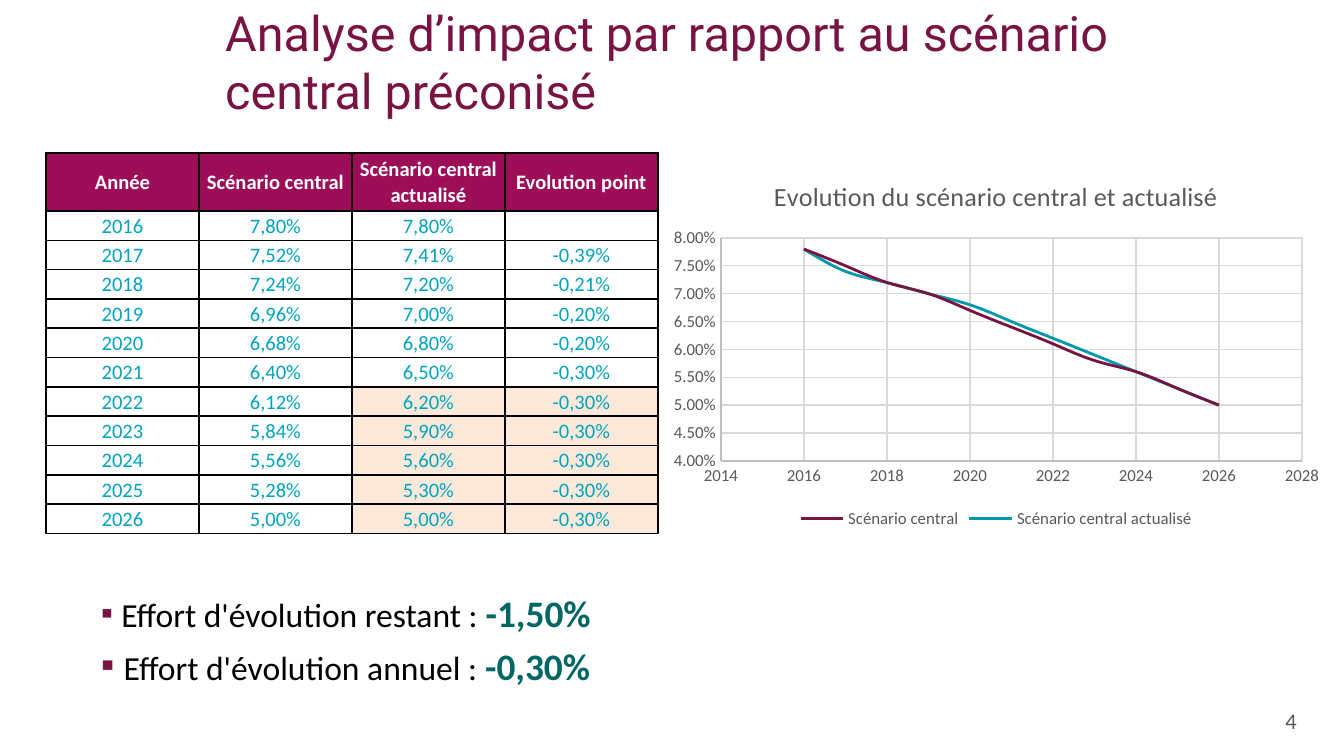
from lxml.etree import SubElement
from pptx import Presentation
from pptx.chart.data import XyChartData
from pptx.dml.color import RGBColor
from pptx.enum.chart import XL_CHART_TYPE, XL_LEGEND_POSITION, XL_TICK_MARK
from pptx.enum.text import MSO_ANCHOR, PP_ALIGN
from pptx.oxml.ns import qn
from pptx.util import Pt

SLIDE_WIDTH, SLIDE_HEIGHT = 1344, 756
EMU_PER_PX = 9144000 / SLIDE_WIDTH

COLORS = {
    "title": "791344", "header": "9E0D58", "white": "FFFFFF", "black": "000000",
    "figures": "00A4C2", "forecast": "FDE9D9", "effort": "006666",
    "page": "595A59", "chart_text": "595959", "axis": "BFBFBF", "grid": "D9D9D9",
    "central": "781344", "updated": "0098AD",
}

HEADERS = ["Année", "Scénario central", "Scénario central actualisé", "Evolution point"]
SCENARIOS = [
    ("2016", "7,80%", "7,80%", ""),
    ("2017", "7,52%", "7,41%", "-0,39%"),
    ("2018", "7,24%", "7,20%", "-0,21%"),
    ("2019", "6,96%", "7,00%", "-0,20%"),
    ("2020", "6,68%", "6,80%", "-0,20%"),
    ("2021", "6,40%", "6,50%", "-0,30%"),
    ("2022", "6,12%", "6,20%", "-0,30%"),
    ("2023", "5,84%", "5,90%", "-0,30%"),
    ("2024", "5,56%", "5,60%", "-0,30%"),
    ("2025", "5,28%", "5,30%", "-0,30%"),
    ("2026", "5,00%", "5,00%", "-0,30%"),
]
FIRST_FORECAST_YEAR = 2022
EFFORTS = [
    ("Effort d'évolution restant : ", "-1,50%", {"size": 18, "bold": False}),
    ("Effort d'évolution annuel : ", "-0,30%", {"size": 20, "bold": True}),
]


def px(length):
    return round(length * EMU_PER_PX)


def rgb(name):
    return RGBColor.from_string(COLORS[name])


def set_attributes(target, values):
    for name, value in values.items():
        setattr(target, name, value)


def set_font(font, size, color, name="Calibri", bold=False):
    set_attributes(font, {"size": Pt(size), "name": name, "bold": bold})
    font.color.rgb = rgb(color)


def add_run(paragraph, text, **font_values):
    run = paragraph.add_run()
    run.text = text
    set_font(run.font, **font_values)


def add_text_frame(slide, box, anchor=MSO_ANCHOR.TOP):
    frame = slide.shapes.add_textbox(*map(px, box)).text_frame
    set_attributes(frame, {"word_wrap": True, "vertical_anchor": anchor})
    return frame


def add_title(slide, box):
    frame = add_text_frame(slide, box, MSO_ANCHOR.MIDDLE)
    add_run(frame.paragraphs[0], "Analyse d’impact par rapport au scénario central préconisé",
            size=26, color="title", name="Roboto")


def add_page_number(slide, box):
    paragraph = add_text_frame(slide, box, MSO_ANCHOR.MIDDLE).paragraphs[0]
    paragraph.alignment = PP_ALIGN.RIGHT
    add_run(paragraph, "4", size=12, color="page")


def add_bullet(paragraph, indent):
    properties = paragraph._p.get_or_add_pPr()
    properties.set("marL", str(px(indent)))
    properties.set("indent", "0")
    color = SubElement(properties, qn("a:buClr"))
    SubElement(color, qn("a:srgbClr"), val=COLORS["title"])
    SubElement(properties, qn("a:buFont"), typeface="Calibri")
    SubElement(properties, qn("a:buChar"), char="▪")


def add_efforts(slide, box):
    frame = add_text_frame(slide, box)
    for index, (label, value, bullet_font) in enumerate(EFFORTS):
        paragraph = frame.add_paragraph() if index else frame.paragraphs[0]
        paragraph.space_before = Pt(4)
        add_bullet(paragraph, indent=42)
        add_run(paragraph, " ", color="title", name="Roboto", **bullet_font)
        add_run(paragraph, label, size=18, color="black")
        add_run(paragraph, value, size=20, color="effort", bold=True)


def add_borders(cell):
    properties = cell._tc.get_or_add_tcPr()
    for position, side in enumerate(("a:lnL", "a:lnR", "a:lnT", "a:lnB")):
        line = SubElement(properties, qn(side), w=str(Pt(1)))
        fill = SubElement(line, qn("a:solidFill"))
        SubElement(fill, qn("a:srgbClr"), val=COLORS["black"])
        properties.insert(position, line)


def fill_cell(cell, text, fill, color, bold):
    set_attributes(cell, {
        "margin_left": px(1), "margin_right": px(1), "margin_top": px(1),
        "margin_bottom": 0, "vertical_anchor": MSO_ANCHOR.MIDDLE,
    })
    cell.fill.solid()
    cell.fill.fore_color.rgb = rgb(fill)
    add_borders(cell)
    paragraph = cell.text_frame.paragraphs[0]
    paragraph.alignment = PP_ALIGN.CENTER
    if text:
        add_run(paragraph, text, size=11, color=color, bold=bold)
    else:
        SubElement(paragraph._p, qn("a:endParaRPr"), sz="1100")


def add_scenario_table(slide, box, header_height):
    left, top, width, height = box
    rows = [HEADERS, *SCENARIOS]
    table = slide.shapes.add_table(len(rows), len(HEADERS), *map(px, box)).table
    set_attributes(table, {"first_row": False, "horz_banding": False})
    for column in table.columns:
        column.width = px(width / len(HEADERS))
    for row in table.rows:
        row.height = px((height - header_height) / len(SCENARIOS))
    table.rows[0].height = px(header_height)
    for row_index, texts in enumerate(rows):
        is_header = row_index == 0
        for column_index, text in enumerate(texts):
            is_forecast = (not is_header and column_index >= 2
                           and int(texts[0]) >= FIRST_FORECAST_YEAR)
            fill = "header" if is_header else "forecast" if is_forecast else "white"
            fill_cell(table.cell(row_index, column_index), text, fill,
                      "white" if is_header else "figures", is_header)


def format_line(line, color, width):
    line.color.rgb = rgb(color)
    line.width = Pt(width)


def format_axis(axis, minimum, maximum, step, number_format):
    set_attributes(axis, {
        "minimum_scale": minimum, "maximum_scale": maximum, "major_unit": step,
        "has_major_gridlines": True,
        "major_tick_mark": XL_TICK_MARK.NONE, "minor_tick_mark": XL_TICK_MARK.NONE,
    })
    set_attributes(axis.tick_labels, {
        "number_format": number_format, "number_format_is_linked": False,
    })
    set_font(axis.tick_labels.font, 9, "chart_text")
    format_line(axis.format.line, "axis", 0.75)
    format_line(axis.major_gridlines.format.line, "grid", 0.75)


def set_plot_layout(chart, box, plot_box):
    """Fix the inner plot area; plot_box is measured from the corner of box."""
    plot_area = chart._chartSpace.chart.plotArea
    layout = plot_area.find(qn("c:layout"))
    if layout is None:
        layout = SubElement(plot_area, qn("c:layout"))
        plot_area.insert(0, layout)
    manual = SubElement(layout, qn("c:manualLayout"))
    SubElement(manual, qn("c:layoutTarget"), val="inner")
    for name in ("xMode", "yMode"):
        SubElement(manual, qn(f"c:{name}"), val="edge")
    for name, length, whole in zip("xywh", plot_box, box[2:] * 2):
        SubElement(manual, qn(f"c:{name}"), val=str(length / whole))


def add_scenario_chart(slide, box):
    data = XyChartData(number_format="0.00%")
    for column in (1, 2):
        series = data.add_series(HEADERS[column])
        for row in SCENARIOS:
            percent = float(row[column].rstrip("%").replace(",", "."))
            series.add_data_point(int(row[0]), round(percent / 100, 3))
    chart = slide.shapes.add_chart(
        XL_CHART_TYPE.XY_SCATTER_SMOOTH_NO_MARKERS, *map(px, box), data).chart
    set_font(chart.font, 10, "black")
    title = chart.chart_title.text_frame.paragraphs[0]
    add_run(title, "Evolution du scénario central et actualisé", size=14, color="chart_text")
    chart.chart_title.include_in_layout = False
    chart.has_legend = True
    set_attributes(chart.legend, {
        "position": XL_LEGEND_POSITION.BOTTOM, "include_in_layout": False,
    })
    set_font(chart.legend.font, 9, "chart_text")
    format_axis(chart.category_axis, 2014, 2028, 2, "General")
    format_axis(chart.value_axis, 0.04, 0.08, 0.005, "0.00%")
    chart.plots[0].vary_by_categories = False
    for series, color in zip(chart.plots[0].series, ("central", "updated")):
        series._element.get_or_add_smooth().val = True
        format_line(series.format.line, color, 1.5)
    set_plot_layout(chart, box, (61, 79, 581, 223))


def main():
    presentation = Presentation()
    set_attributes(presentation, {
        "slide_width": px(SLIDE_WIDTH), "slide_height": px(SLIDE_HEIGHT),
    })
    slide = presentation.slides.add_slide(presentation.slide_layouts[6])
    add_title(slide, (212, 19, 1052, 85))
    add_efforts(slide, (46, 584, 1184, 160))
    add_page_number(slide, (997, 701, 313, 40))
    add_scenario_table(slide, (46, 153, 612, 381), header_height=58)
    add_scenario_chart(slide, (660, 159, 672, 375))
    presentation.save("out.pptx")


if __name__ == "__main__":
    main()
